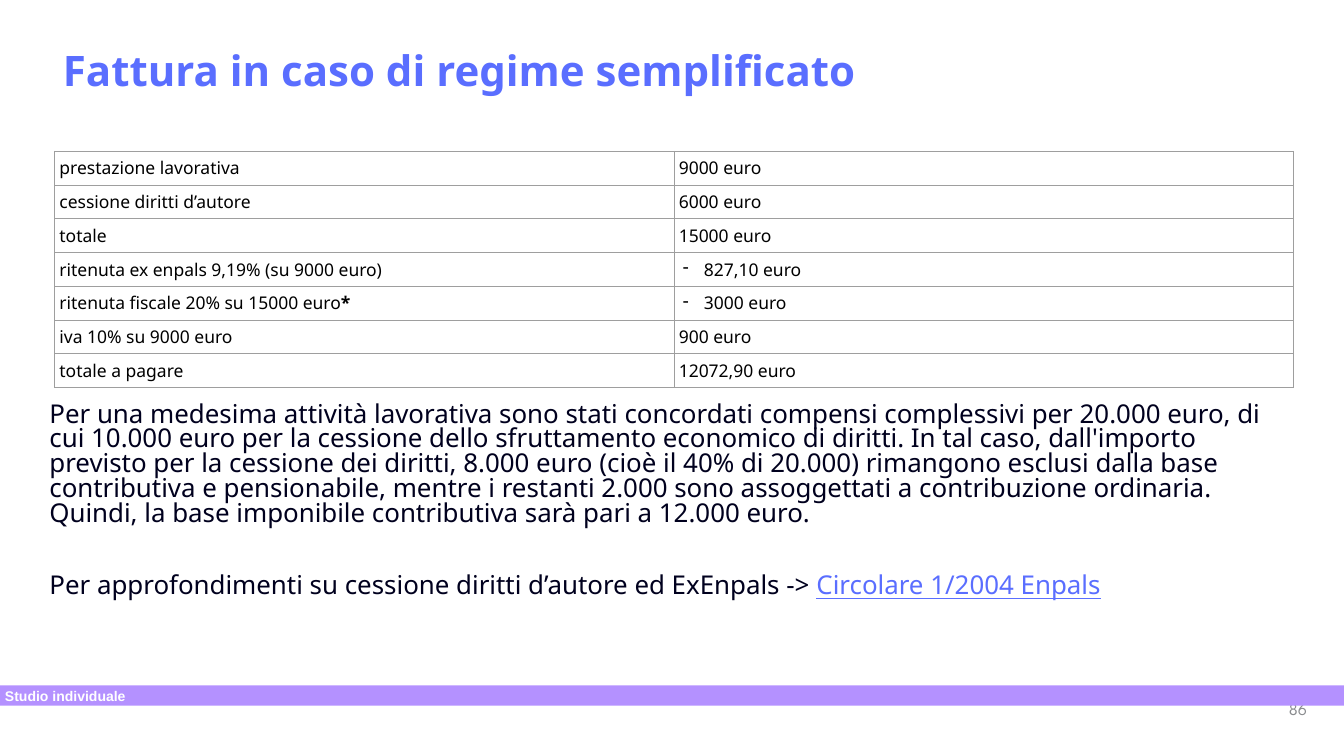
"""Build the slide on invoicing under the simplified regime."""
import dataclasses

import pptx
import pptx.dml.color
import pptx.enum.shapes
import pptx.enum.text
import pptx.oxml
import pptx.oxml.ns
import pptx.util

Inches = pptx.util.Inches
Pt = pptx.util.Pt
RGB = pptx.dml.color.RGBColor.from_string
ANCHOR = pptx.enum.text.MSO_ANCHOR
ALIGN = pptx.enum.text.PP_ALIGN


@dataclasses.dataclass(frozen=True)
class Theme:
    font: str = "Noto Sans"
    number_font: str = "League Spartan"
    bar_font: str = "Arial"
    accent: str = "5A6EFF"
    ink: str = "00001E"
    black: str = "000000"
    white: str = "FFFFFF"
    grey: str = "8A8C8F"
    border: str = "9E9E9E"
    bar: str = "B491FF"
    title_size: int = 60
    body_size: int = 37
    table_size: int = 25
    number_size: int = 24
    bar_size: int = 20


theme = Theme()


def style(r, size, color, font=theme.font, bold=False):
    r.font.size = Pt(size)
    r.font.name = font
    r.font.bold = bold
    r.font.color.rgb = RGB(color)


def frame(sp, side=0.1, anchor=ANCHOR.TOP):
    tf = sp.text_frame
    tf.word_wrap = True
    tf.vertical_anchor = anchor
    tf.margin_left = tf.margin_right = Inches(side)
    tf.margin_top = tf.margin_bottom = Inches(0.1)
    return tf


prs = pptx.Presentation()
prs.slide_width = Inches(26.67)
prs.slide_height = Inches(15)
s = prs.slides.add_slide(prs.slide_layouts[6])

sp = s.shapes.add_textbox(Inches(25.2), Inches(13.67), Inches(0.94), Inches(0.8))
tf = frame(sp, 0.2, ANCHOR.MIDDLE)
p = tf.paragraphs[0]
p.text = "86"
p.alignment = ALIGN.RIGHT
style(p.runs[0], theme.number_size, theme.grey, theme.number_font)

sp = s.shapes.add_textbox(Inches(0.78), Inches(7.9), Inches(25.19), Inches(5.6))
tf = frame(sp, 0.2)
p = tf.paragraphs[0]
p.text = (
    "Per una medesima attività lavorativa sono stati concordati compensi complessivi "
    "per 20.000 euro, di cui 10.000 euro per la cessione dello sfruttamento economico "
    "di diritti. In tal caso, dall'importo previsto per la cessione dei diritti, "
    "8.000 euro (cioè il 40% di 20.000) rimangono esclusi dalla base contributiva e "
    "pensionabile, mentre i restanti 2.000 sono assoggettati a contribuzione ordinaria. "
    "Quindi, la base imponibile contributiva sarà pari a 12.000 euro."
)
p.line_spacing = 0.8
style(p.runs[0], theme.body_size, theme.ink)
p = tf.add_paragraph()
p.text = "Per approfondimenti su cessione diritti d’autore ed ExEnpals -> "
p.line_spacing = 0.8
p.space_before = Pt(68)
style(p.runs[0], theme.body_size, theme.ink)
r = p.add_run()
r.text = "Circolare 1/2004 Enpals"
style(r, theme.body_size, theme.accent)
r.font.underline = True

invoice = [
    ("prestazione lavorativa", "9000 euro"),
    ("cessione diritti d’autore", "6000 euro"),
    ("totale", "15000 euro"),
    ("ritenuta ex enpals 9,19% (su 9000 euro)", "827,10 euro"),
    ("ritenuta fiscale 20% su 15000 euro", "3000 euro"),
    ("iva 10% su 9000 euro", "900 euro"),
    ("totale a pagare", "12072,90 euro"),
]
row_height = Inches(0.67)
column_width = Inches(12.29)
table = s.shapes.add_table(len(invoice), 2, Inches(1.08), Inches(3),
                           column_width * 2, row_height * len(invoice)).table
table.first_row = False
table.horz_banding = False
for column in table.columns:
    column.width = column_width
for i, entry in enumerate(invoice):
    table.rows[i].height = row_height
    for j, text in enumerate(entry):
        cell = table.cell(i, j)
        cell.fill.background()
        cell.margin_left = cell.margin_right = Inches(0.1)
        cell.margin_top = cell.margin_bottom = Inches(0.1)
        p = cell.text_frame.paragraphs[0]
        p.text = text
        style(p.runs[0], theme.table_size, theme.black)
        if j == 1 and invoice[i][0].startswith("ritenuta"):
            pPr = p._p.get_or_add_pPr()
            pPr.set("marL", str(Inches(0.5)))
            pPr.set("indent", str(Inches(-0.42)))
            color = pptx.oxml.parse_xml(
                f'<a:buClr {pptx.oxml.ns.nsdecls("a")}><a:srgbClr val="{theme.black}"/></a:buClr>')
            bullet = pptx.oxml.parse_xml(
                f'<a:buChar {pptx.oxml.ns.nsdecls("a")} char="-"/>')
            pPr.append(color)
            pPr.append(bullet)
        tcPr = cell._tc.get_or_add_tcPr()
        for k, side in enumerate(("lnL", "lnR", "lnT", "lnB")):
            tcPr.insert(k, pptx.oxml.parse_xml(
                f'<a:{side} {pptx.oxml.ns.nsdecls("a")} w="{Pt(0.75)}"><a:solidFill>'
                f'<a:srgbClr val="{theme.border}"/></a:solidFill></a:{side}>'))
r = table.cell(4, 0).text_frame.paragraphs[0].add_run()
r.text = "*"
style(r, theme.table_size, theme.black, bold=True)

sp = s.shapes.add_shape(pptx.enum.shapes.MSO_SHAPE.RECTANGLE,
                        0, Inches(13.6), prs.slide_width, Inches(0.4))
sp.shadow.inherit = False
sp.fill.solid()
sp.fill.fore_color.rgb = RGB(theme.bar)
sp.line.fill.background()
tf = frame(sp, anchor=ANCHOR.MIDDLE)
p = tf.paragraphs[0]
p.text = "Studio individuale"
p.alignment = ALIGN.LEFT
style(p.runs[0], theme.bar_size, theme.white, theme.bar_font, bold=True)

sp = s.shapes.add_textbox(Inches(1.15), Inches(0.89), Inches(24.36), Inches(1.42))
tf = frame(sp)
p = tf.paragraphs[0]
p.text = "Fattura in caso di regime semplificato"
p.line_spacing = 0.9
style(p.runs[0], theme.title_size, theme.accent, bold=True)

prs.save("out.pptx")
